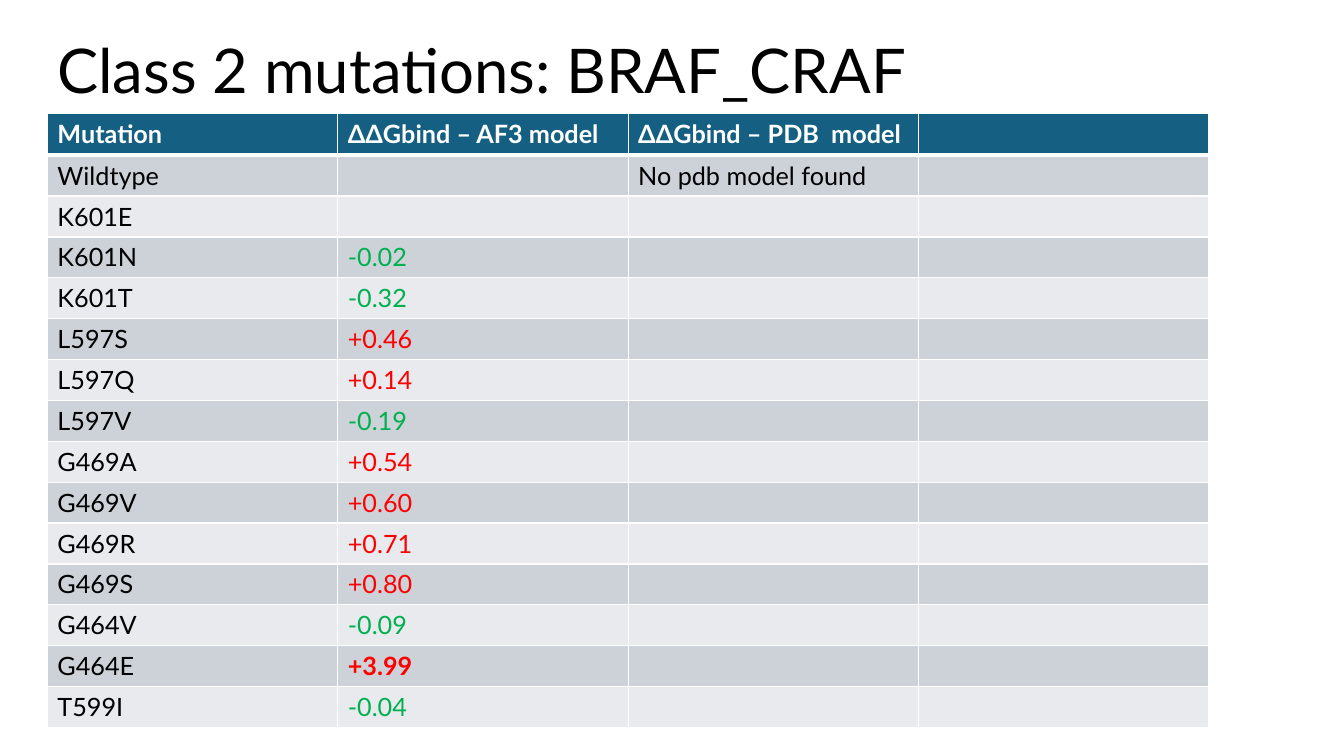
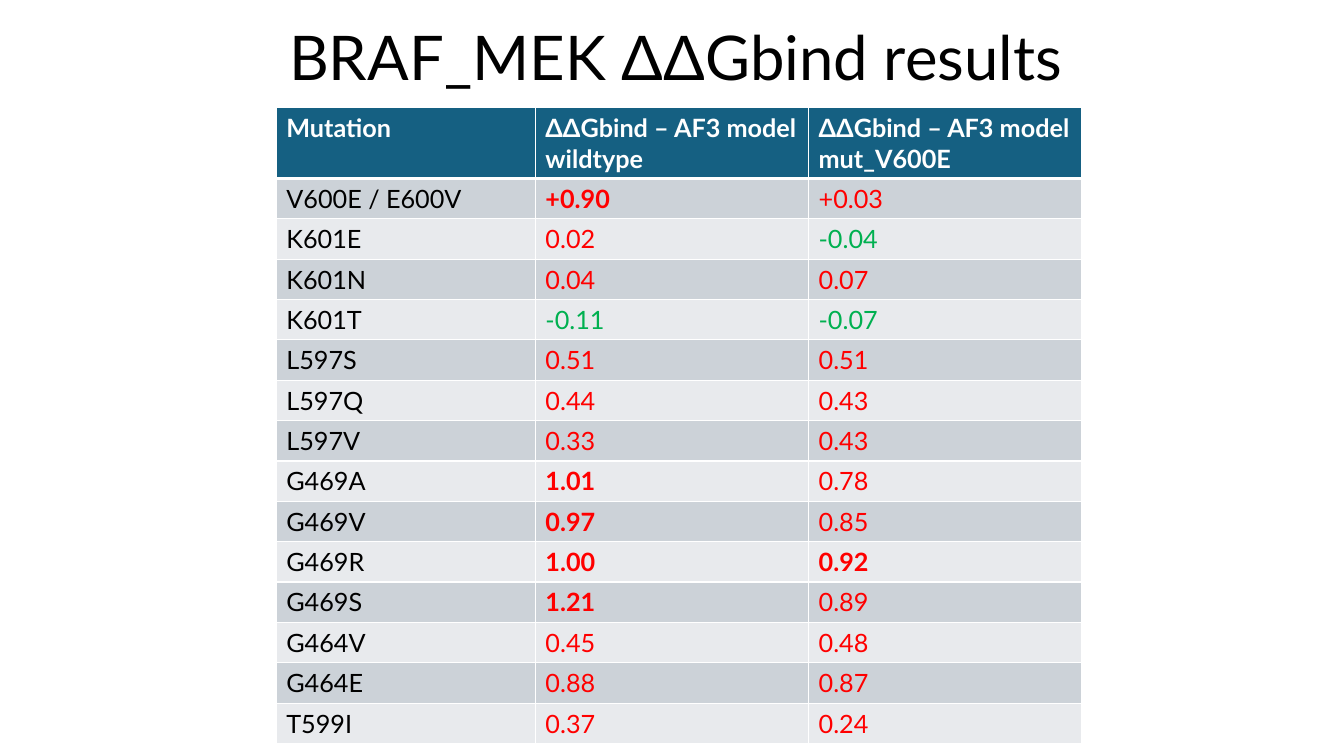
"""Build two slides of binding energy tables for BRAF mutations."""
from dataclasses import dataclass

import lxml.etree
import pptx
import pptx.dml.color
import pptx.enum.text
import pptx.oxml.ns
import pptx.slide
import pptx.table
import pptx.text.text
import pptx.util

Inches = pptx.util.Inches


@dataclass(frozen=True)
class Theme:
    font: str = "Lato"
    title_size: int = 44
    cell_size: int = 18
    text: str = "000000"
    header_text: str = "FFFFFF"
    header_fill: str = "156082"
    bands: tuple[str, str] = ("CCD2D8", "E8EAED")
    border: str = "FFFFFF"
    thin_border: int = 1
    thick_border: int = 3
    decrease: str = "00B050"
    increase: str = "FF0000"
    bold_from: float = 0.9


@dataclass(frozen=True)
class MutationSlide:
    title: str
    title_left: float
    title_top: float
    table_left: float
    table_top: float
    table_height: float
    header_height: float
    column_widths: tuple[float, ...]
    headers: tuple[str, ...]
    rows: tuple[tuple[str, ...], ...]


THEME = Theme()
TITLE_WIDTH = 11.5
TITLE_HEIGHT = 1.45

MUTATION_SLIDES = (
    MutationSlide(
        title="Class 2 mutations: BRAF_CRAF",
        title_left=0.47,
        title_top=0,
        table_left=0.47,
        table_top=1.13,
        table_height=6.09,
        header_height=0.41,
        column_widths=(2.88,) * 4,
        headers=("Mutation", "ΔΔGbind – AF3 model", "ΔΔGbind – PDB  model", ""),
        rows=(
            ("Wildtype", "", "No pdb model found"),
            ("K601E",),
            ("K601N", "-0.02"),
            ("K601T", "-0.32"),
            ("L597S", "+0.46"),
            ("L597Q", "+0.14"),
            ("L597V", "-0.19"),
            ("G469A", "+0.54"),
            ("G469V", "+0.60"),
            ("G469R", "+0.71"),
            ("G469S", "+0.80"),
            ("G464V", "-0.09"),
            ("G464E", "+3.99"),
            ("T599I", "-0.04"),
        ),
    ),
    MutationSlide(
        title="BRAF_MEK ΔΔGbind results",
        title_left=2.77,
        title_top=-0.12,
        table_left=2.74,
        table_top=1.07,
        table_height=6.3,
        header_height=0.7,
        column_widths=(2.57, 2.71, 2.71),
        headers=("Mutation", "ΔΔGbind – AF3 model wildtype", "ΔΔGbind – AF3 model mut_V600E"),
        rows=(
            ("V600E / E600V", "+0.90", "+0.03"),
            ("K601E", "0.02", "-0.04"),
            ("K601N", "0.04", "0.07"),
            ("K601T", "-0.11", "-0.07"),
            ("L597S", "0.51", "0.51"),
            ("L597Q", "0.44", "0.43"),
            ("L597V", "0.33", "0.43"),
            ("G469A", "1.01", "0.78"),
            ("G469V", "0.97", "0.85"),
            ("G469R", "1.00", "0.92"),
            ("G469S", "1.21", "0.89"),
            ("G464V", "0.45", "0.48"),
            ("G464E", "0.88", "0.87"),
            ("T599I", "0.37", "0.24"),
        ),
    ),
)


def rgb(color: str) -> pptx.dml.color.RGBColor:
    return pptx.dml.color.RGBColor.from_string(color)


def add_run(
    paragraph: pptx.text.text._Paragraph, text: str, size: int, color: str, bold: bool = False
) -> None:
    run = paragraph.add_run()
    run.text = text
    run.font.name = THEME.font
    run.font.size = pptx.util.Pt(size)
    run.font.bold = bold
    run.font.color.rgb = rgb(color)


def add_title(slide: pptx.slide.Slide, content: MutationSlide) -> None:
    shape = slide.shapes.add_textbox(
        Inches(content.title_left), Inches(content.title_top), Inches(TITLE_WIDTH), Inches(TITLE_HEIGHT)
    )
    shape.text_frame.word_wrap = True
    shape.text_frame.vertical_anchor = pptx.enum.text.MSO_ANCHOR.MIDDLE
    paragraph = shape.text_frame.paragraphs[0]
    paragraph.line_spacing = 0.9
    add_run(paragraph, content.title, THEME.title_size, THEME.text)


def set_borders(cell: pptx.table._Cell, top: int, bottom: int) -> None:
    properties = cell._tc.get_or_add_tcPr()
    qn = pptx.oxml.ns.qn
    widths = {"a:lnL": THEME.thin_border, "a:lnR": THEME.thin_border, "a:lnT": top, "a:lnB": bottom}
    for tag, width in widths.items():
        line = lxml.etree.SubElement(properties, qn(tag), w=str(pptx.util.Pt(width)))
        fill = lxml.etree.SubElement(line, qn("a:solidFill"))
        lxml.etree.SubElement(fill, qn("a:srgbClr"), val=THEME.border)


def value_style(text: str) -> tuple[str, bool]:
    try:
        value = float(text)
    except ValueError:
        return THEME.text, False
    color = THEME.decrease if value < 0 else THEME.increase
    return color, value >= THEME.bold_from


def fill_cell(cell: pptx.table._Cell, text: str, row_index: int) -> None:
    is_header = row_index == 0
    set_borders(
        cell,
        top=THEME.thick_border if row_index == 1 else THEME.thin_border,
        bottom=THEME.thick_border if is_header else THEME.thin_border,
    )
    cell.fill.solid()
    cell.fill.fore_color.rgb = rgb(THEME.header_fill if is_header else THEME.bands[(row_index - 1) % 2])
    paragraph = cell.text_frame.paragraphs[0]
    if text:
        color, bold = (THEME.header_text, True) if is_header else value_style(text)
        add_run(paragraph, text, THEME.cell_size, color, bold)
    else:
        paragraph.font.size = pptx.util.Pt(THEME.cell_size)
        paragraph.font.name = THEME.font


def add_mutation_table(slide: pptx.slide.Slide, content: MutationSlide) -> None:
    rows = (content.headers, *content.rows)
    column_count = len(content.column_widths)
    table = slide.shapes.add_table(
        len(rows),
        column_count,
        Inches(content.table_left),
        Inches(content.table_top),
        Inches(sum(content.column_widths)),
        Inches(content.table_height),
    ).table
    table.horz_banding = False
    for column, width in zip(table.columns, content.column_widths):
        column.width = Inches(width)
    body_height = (content.table_height - content.header_height) / len(content.rows)
    for row_index, texts in enumerate(rows):
        table.rows[row_index].height = Inches(body_height if row_index else content.header_height)
        for column_index in range(column_count):
            text = texts[column_index] if column_index < len(texts) else ""
            fill_cell(table.cell(row_index, column_index), text, row_index)


def main() -> None:
    presentation = pptx.Presentation()
    presentation.slide_width = Inches(13.33)
    presentation.slide_height = Inches(7.5)
    blank_layout = presentation.slide_layouts[6]
    for content in MUTATION_SLIDES:
        slide = presentation.slides.add_slide(blank_layout)
        add_title(slide, content)
        add_mutation_table(slide, content)
    presentation.save("out.pptx")


if __name__ == "__main__":
    main()
